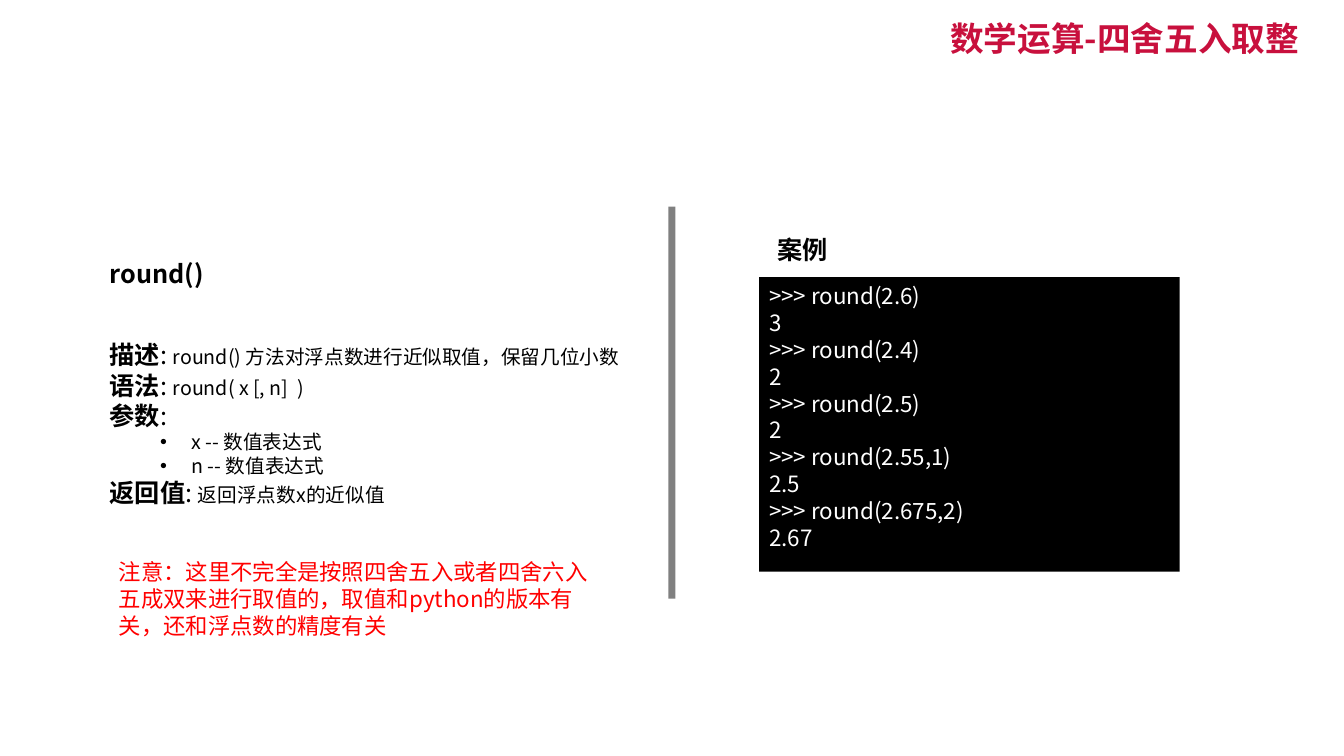
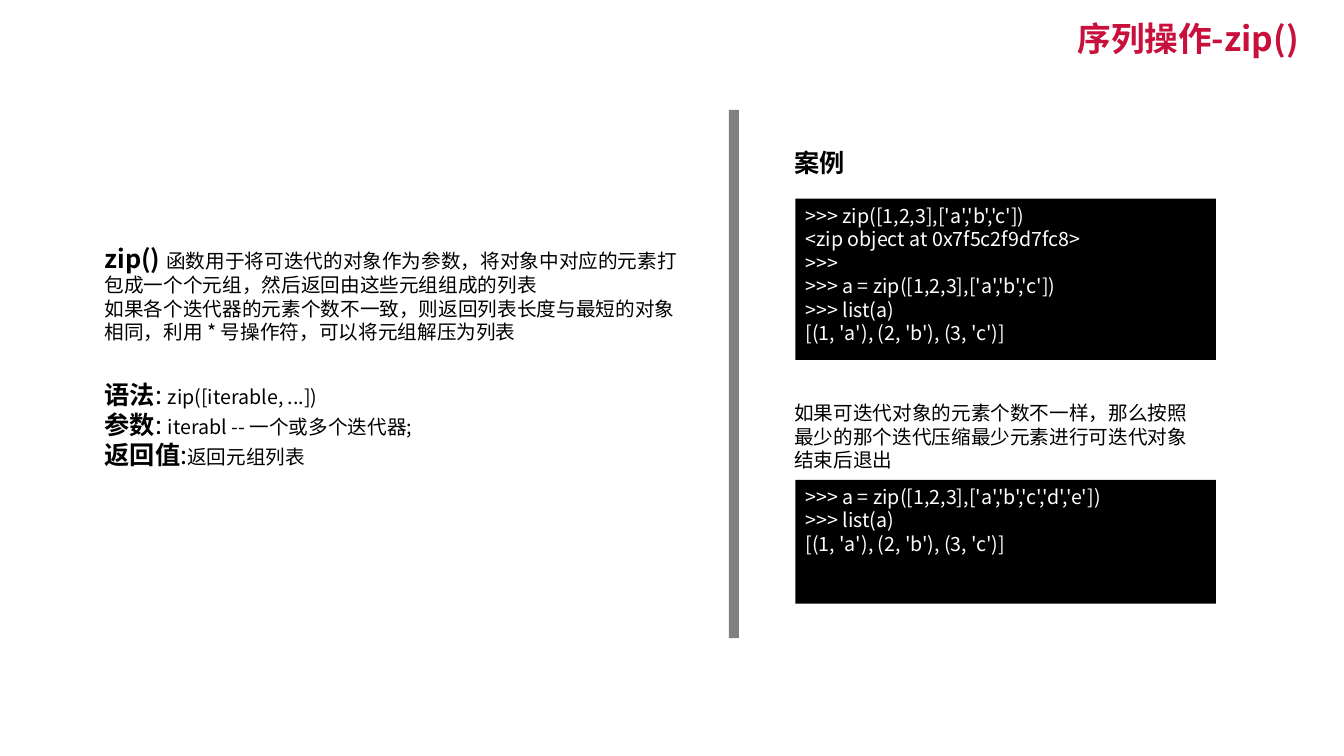
from pptx import Presentation
from pptx import util as u
from pptx.dml.color import RGBColor
from pptx.enum import shapes, text
from pptx.oxml import ns
from lxml import etree

# Theme: colours, type sizes and text styles
THEME = {
    "face": "Noto Sans CJK SC",
    "bar": "808080",
    "code": "000000",
    "styles": {
        "title": {"size": 24, "bold": True, "color": "C8103D"},
        "head": {"size": 18, "bold": True, "color": "000000"},
        "colon": {"size": 18, "bold": False, "color": "000000"},
        "body": {"size": 14, "bold": False, "color": "000000"},
        "item": {"size": 14, "bold": False, "color": "000000"},
        "warn": {"size": 16, "bold": False, "color": "FF0000"},
        "code16": {"size": 16, "bold": False, "color": "FFFFFF"},
        "code14": {"size": 14, "bold": False, "color": "FFFFFF"},
    },
    "layout": {
        "title": {"alignment": text.PP_ALIGN.RIGHT, "line_spacing": 0.9,
                  "space_before": u.Pt(10)},
        "plain": {"alignment": text.PP_ALIGN.LEFT},
    },
}


def write(shape, paras, wrap=True, anchor=text.MSO_ANCHOR.TOP):
    """Fill a shape with paragraphs, each a list of (style, words) runs."""
    frame = shape.text_frame
    frame.word_wrap = wrap
    frame.vertical_anchor = anchor
    for i, runs in enumerate(paras):
        para = frame.add_paragraph() if i else frame.paragraphs[0]
        kind = runs[0][0]
        for key, val in THEME["layout"].get(kind, THEME["layout"]["plain"]).items():
            setattr(para, key, val)
        if kind == "item":
            para.level = 1
            props = para._p.get_or_add_pPr()
            props.set("marL", str(u.Inches(0.81)))
            props.set("indent", str(u.Inches(-0.31)))
            etree.SubElement(props, ns.qn("a:buFont"), typeface="Arial")
            etree.SubElement(props, ns.qn("a:buChar"), char="•")
        for style, words in runs:
            run = para.add_run()
            run.text = words
            look = THEME["styles"][style]
            form = {"name": THEME["face"], "size": u.Pt(look["size"]),
                    "bold": look["bold"]}
            for key, val in form.items():
                setattr(run.font, key, val)
            run.font.color.rgb = RGBColor.from_string(look["color"])
            etree.SubElement(run._r.get_or_add_rPr(), ns.qn("a:ea"),
                             typeface=THEME["face"])


def block(slide, area, fill):
    """Add a plain filled rectangle."""
    rect = slide.shapes.add_shape(shapes.MSO_SHAPE.RECTANGLE, *map(u.Inches, area))
    rect.shadow.inherit = False
    rect.fill.solid()
    rect.fill.fore_color.rgb = RGBColor.from_string(fill)
    rect.line.fill.background()
    return rect


# Content: divider, label, notes and code of each slide
PAGES = [
    {
        "title": "数学运算-四舍五入取整",
        "bar": (6.63, 2.05, 0.07, 3.89),
        "label": (7.61, 2.28, 0.71, 0.4),
        "notes": [
            ((0.99, 2.51, 4.81, 0.4), [[("head", "round()")]]),
            ((0.99, 3.32, 5.37, 1.78), [
                [("head", "描述"), ("colon", ": "),
                 ("body", "round() 方法对浮点数进行近似取值，保留几位小数")],
                [("head", "语法"), ("colon", ": "), ("body", "round( x [, n]  )")],
                [("head", "参数"), ("colon", ":")],
                [("item", "x -- 数值表达式")],
                [("item", "n -- 数值表达式")],
                [("head", "返回值"), ("colon", ": "), ("body", "返回浮点数x的近似值")],
            ]),
            ((1.08, 5.49, 4.9, 0.91), [
                [("warn", "注意：这里不完全是按照四舍五入或者四舍六入五成双来进行取值的，"
                          "取值和python的版本有关，还和浮点数的精度有关")],
            ]),
        ],
        "style": "code16",
        "code": [
            ((7.53, 2.75, 4.17, 2.92), [
                ">>> round(2.6)", "3",
                ">>> round(2.4)", "2",
                ">>> round(2.5)", "2",
                ">>> round(2.55,1)", "2.5",
                ">>> round(2.675,2)", "2.67",
            ]),
        ],
    },
    {
        "title": "序列操作-zip()",
        "bar": (7.23, 1.09, 0.1, 5.24),
        "label": (7.78, 1.41, 0.71, 0.4),
        "notes": [
            ((0.94, 2.36, 6.01, 1.11), [
                [("head", "zip() "),
                 ("body", "函数用于将可迭代的对象作为参数，将对象中对应的元素打包成一个个元组，"
                          "然后返回由这些元组组成的列表")],
                [("body", "如果各个迭代器的元素个数不一致，则返回列表长度与最短的对象相同，"
                          "利用 * 号操作符，可以将元组解压为列表")],
            ]),
            ((0.94, 3.71, 6.02, 1.01), [
                [("head", "语法"), ("colon", ": "), ("body", "zip([iterable, ...])")],
                [("head", "参数"), ("colon", ": "),
                 ("body", "iterabl -- 一个或多个迭代器;")],
                [("head", "返回值"), ("colon", ":"), ("body", "返回元组列表")],
            ]),
            ((7.78, 3.93, 4.27, 0.81), [
                [("body", "如果可迭代对象的元素个数不一样，那么按照最少的那个迭代"
                          "压缩最少元素进行可迭代对象结束后退出")],
            ]),
        ],
        "style": "code14",
        "code": [
            ((7.89, 1.97, 4.17, 1.6), [
                ">>> zip([1,2,3],['a','b','c'])",
                "<zip object at 0x7f5c2f9d7fc8>",
                ">>>",
                ">>> a = zip([1,2,3],['a','b','c'])",
                ">>> list(a)",
                "[(1, 'a'), (2, 'b'), (3, 'c')]",
            ]),
            ((7.89, 4.76, 4.17, 1.23), [
                ">>> a = zip([1,2,3],['a','b','c','d','e'])",
                ">>> list(a)",
                "[(1, 'a'), (2, 'b'), (3, 'c')]",
            ]),
        ],
    },
]

deck = Presentation()
deck.slide_width = u.Inches(13.33)
deck.slide_height = u.Inches(7.5)

for page in PAGES:
    slide = deck.slides.add_slide(deck.slide_layouts[6])

    # Title
    title = slide.shapes.add_textbox(*map(u.Inches, (6.67, 0.2, 6.31, 0.41)))
    write(title, [[("title", page["title"])]], anchor=text.MSO_ANCHOR.MIDDLE)

    # Divider and example label
    block(slide, page["bar"], THEME["bar"])
    label = slide.shapes.add_textbox(*map(u.Inches, page["label"]))
    write(label, [[("head", "案例")]], wrap=False)

    # Explanations
    for area, paras in page["notes"]:
        write(slide.shapes.add_textbox(*map(u.Inches, area)), paras)

    # Code panels
    for area, lines in page["code"]:
        panel = block(slide, area, THEME["code"])
        write(panel, [[(page["style"], line)] for line in lines])

deck.save("out.pptx")
